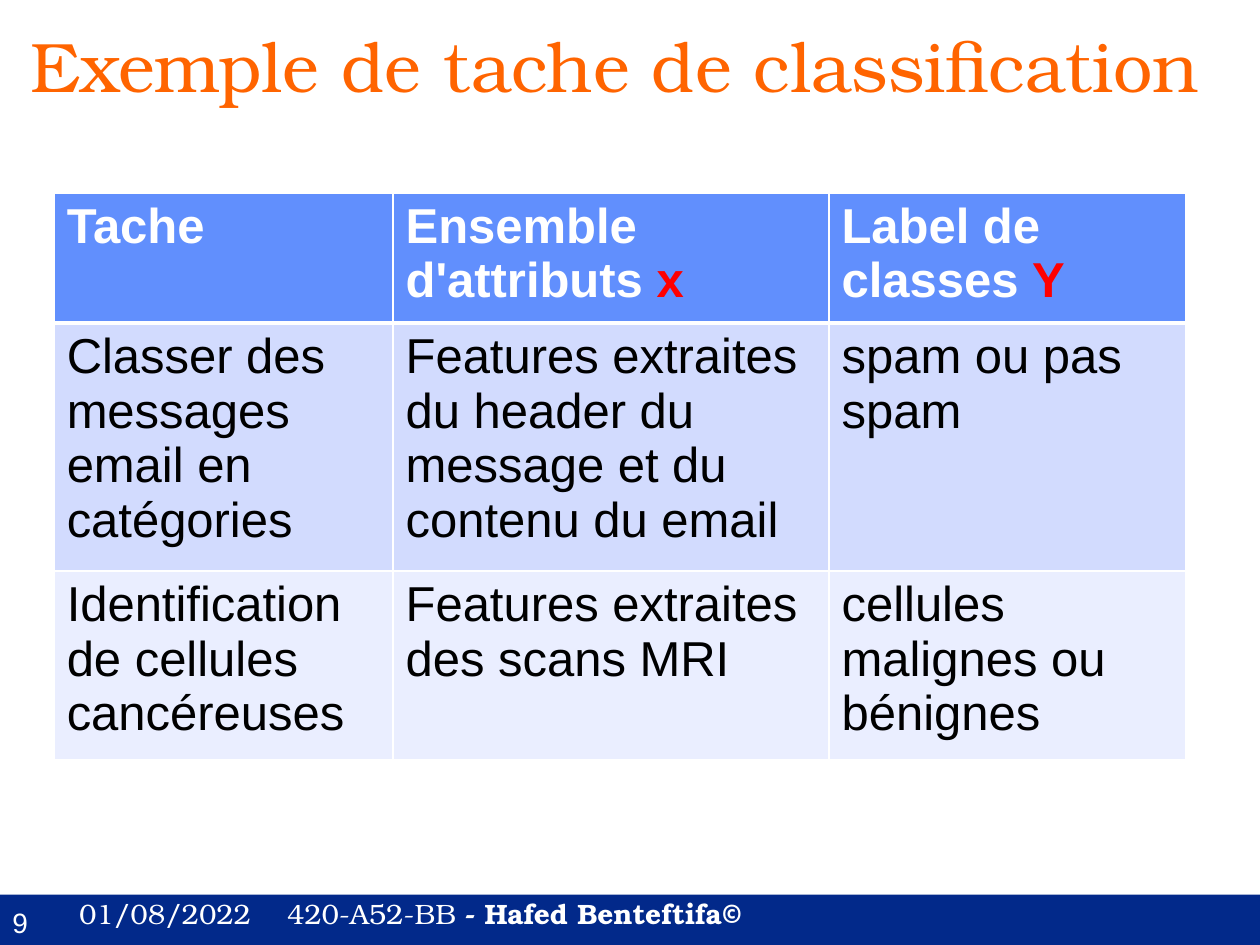
"""Build a slide with a table of classification task examples."""
from lxml.etree import SubElement
from pptx import Presentation
from pptx.dml.color import RGBColor
from pptx.enum.shapes import MSO_SHAPE
from pptx.enum.text import MSO_ANCHOR, PP_ALIGN
from pptx.oxml.ns import qn
from pptx.util import Inches, Pt

COLORS = {
    "orange": "FF6400", "navy": "02298A", "white": "FFFFFF", "black": "000000",
    "red": "FF0000", "header": "618FFD", "odd": "D2DBFE", "even": "EAEEFF",
}
SANS, SERIF, SYMBOL = "Arial", "TeX Gyre Bonum", "Cabin"

TITLE = "Exemple de tache de classification"
HEADER = [("Tache", ""), ("Ensemble d'attributs ", "x"), ("Label de classes ", "Y")]
TASKS = [
    ("Classer des messages email en catégories",
     "Features extraites du header du message et du contenu du email",
     "spam ou pas spam"),
    ("Identification de cellules cancéreuses",
     "Features extraites des scans MRI",
     "cellules malignes ou bénignes"),
]
COLUMN_WIDTHS = [2.69, 3.46, 2.83]
ROW_HEIGHTS = [0.96, 1.83, 1.39]
PAGE_NUMBER = [("9", SANS, False)]
CREDIT = [
    ("01/08/2022\t420-A52-BB ", SERIF, False),
    ("- Hafed Benteftifa", SERIF, True),
    ("©", SYMBOL, True),
]
CREDIT_TAB = 1.65


def rgb(name):
    return RGBColor.from_string(COLORS[name])


def add_run(paragraph, text, font, size, color, bold=False):
    run = paragraph.add_run()
    run.text = text
    run.font.name = font
    run.font.size = Pt(size)
    run.font.bold = bold
    run.font.color.rgb = rgb(color)


def add_footer_text(slide, left, top, width, parts):
    box = slide.shapes.add_textbox(Inches(left), Inches(top), Inches(width), Inches(0.64))
    box.text_frame.word_wrap = True
    paragraph = box.text_frame.paragraphs[0]
    for text, font, bold in parts:
        add_run(paragraph, text, font, 16, "white", bold)
    return paragraph


def add_borders(cell, top, bottom):
    properties = cell._tc.get_or_add_tcPr()
    for side, width in (("L", 1), ("R", 1), ("T", top), ("B", bottom)):
        line = SubElement(properties, qn(f"a:ln{side}"), w=str(Pt(width)))
        fill = SubElement(line, qn("a:solidFill"))
        SubElement(fill, qn("a:srgbClr"), val=COLORS["white"])


def add_task_table(slide):
    rows = [HEADER] + [[(text, "") for text in task] for task in TASKS]
    table = slide.shapes.add_table(
        len(rows), len(HEADER), Inches(0.43), Inches(1.53),
        Inches(sum(COLUMN_WIDTHS)), Inches(sum(ROW_HEIGHTS))).table
    for column, width in zip(table.columns, COLUMN_WIDTHS):
        column.width = Inches(width)
    for index, (row, height) in enumerate(zip(rows, ROW_HEIGHTS)):
        table.rows[index].height = Inches(height)
        is_header = index == 0
        background = "header" if is_header else ("even", "odd")[index % 2]
        for position, (text, symbol) in enumerate(row):
            cell = table.cell(index, position)
            add_borders(cell, 3 if index == 1 else 1, 3 if is_header else 1)
            cell.fill.solid()
            cell.fill.fore_color.rgb = rgb(background)
            paragraph = cell.text_frame.paragraphs[0]
            add_run(paragraph, text, SANS, 28, "white" if is_header else "black", is_header)
            if symbol:
                add_run(paragraph, symbol, SANS, 28, "red", True)


def main():
    deck = Presentation()
    deck.slide_width, deck.slide_height = Inches(10), Inches(7.5)
    slide = deck.slides.add_slide(deck.slide_layouts[5])

    band = slide.shapes.add_shape(
        MSO_SHAPE.RECTANGLE, 0, Inches(7.1), Inches(10), Inches(0.4))
    band.shadow.inherit = False
    band.fill.solid()
    band.fill.fore_color.rgb = rgb("navy")
    band.line.fill.background()

    add_footer_text(slide, 0, 7.14, 0.58, PAGE_NUMBER)
    credit = add_footer_text(slide, 0.53, 7.07, 9.47, CREDIT)
    tabs = SubElement(credit._p.get_or_add_pPr(), qn("a:tabLst"))
    SubElement(tabs, qn("a:tab"), pos=str(Inches(CREDIT_TAB)), algn="l")

    title = slide.shapes.title
    title.left, title.top = Inches(0.14), Inches(0.05)
    title.width, title.height = Inches(9.68), Inches(0.93)
    title.text_frame.vertical_anchor = MSO_ANCHOR.MIDDLE
    heading = title.text_frame.paragraphs[0]
    heading.alignment = PP_ALIGN.LEFT
    add_run(heading, TITLE, SERIF, 40, "orange")

    add_task_table(slide)
    deck.save("out.pptx")


if __name__ == "__main__":
    main()
